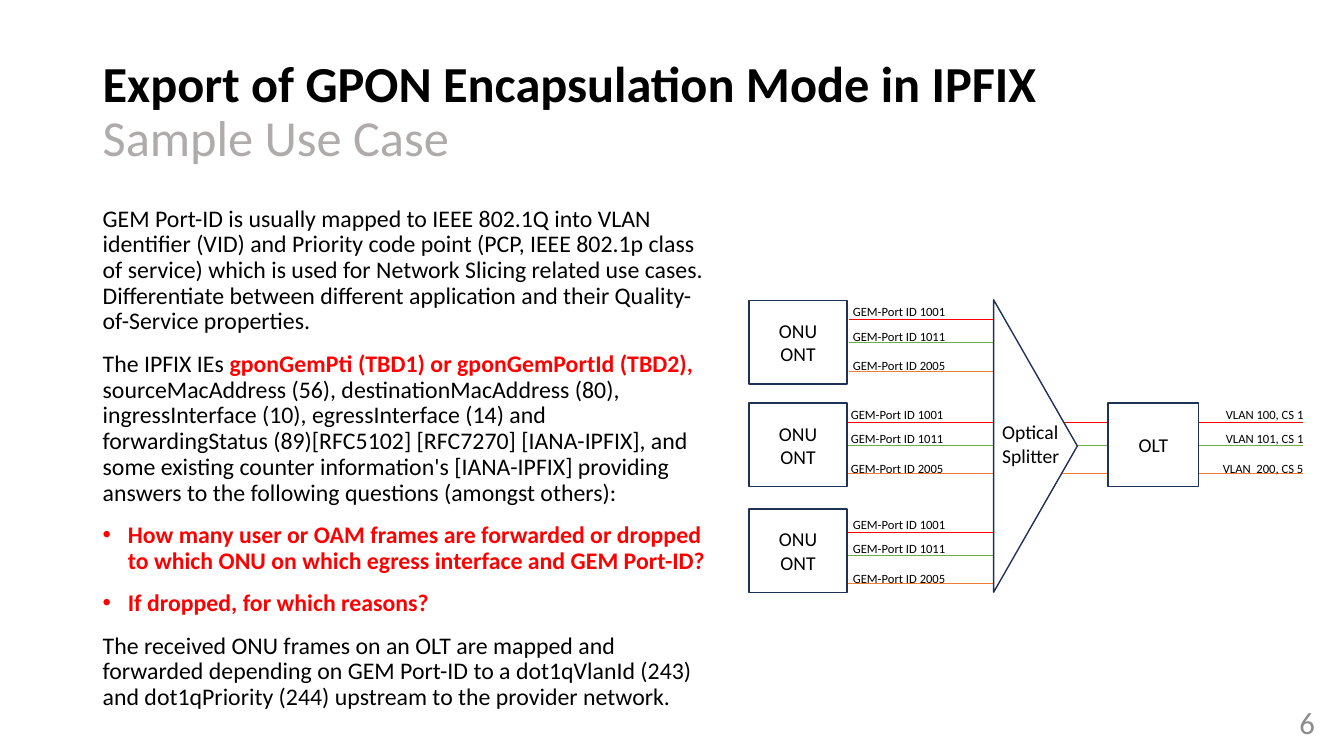
from dataclasses import dataclass

from lxml import etree
from pptx import Presentation
from pptx.dml.color import RGBColor
from pptx.enum.shapes import MSO_CONNECTOR, MSO_SHAPE
from pptx.enum.text import MSO_ANCHOR, MSO_AUTO_SIZE, PP_ALIGN
from pptx.oxml.ns import qn
from pptx.util import Inches, Pt

RECT, TRIANGLE = MSO_SHAPE.RECTANGLE, MSO_SHAPE.ISOSCELES_TRIANGLE
STRAIGHT = MSO_CONNECTOR.STRAIGHT
TOP, MIDDLE = MSO_ANCHOR.TOP, MSO_ANCHOR.MIDDLE
LEFT, CENTER, RIGHT = PP_ALIGN.LEFT, PP_ALIGN.CENTER, PP_ALIGN.RIGHT
GROW, FIXED = MSO_AUTO_SIZE.SHAPE_TO_FIT_TEXT, MSO_AUTO_SIZE.NONE


@dataclass(frozen=True)
class Theme:
    font: str = "Calibri"
    black: str = "000000"
    white: str = "FFFFFF"
    subtitle: str = "AFABAB"
    number: str = "8C8C8C"
    red: str = "FF0000"
    green: str = "70AD47"
    orange: str = "ED7D31"
    outline: str = "1E3256"
    title_size: float = 36
    body_size: float = 17
    number_size: float = 22
    node_size: float = 14
    label_size: float = 9


T = Theme()


@dataclass(frozen=True)
class Run:
    text: str
    color: str = T.black
    bold: bool = False


@dataclass(frozen=True)
class Para:
    runs: tuple[Run, ...]
    bullet: bool = False


@dataclass(frozen=True)
class Signal:
    label: str
    vlan: str
    color: str
    label_dy: float
    line_dy: float


@dataclass(frozen=True)
class Unit:
    box_top: float
    signal_top: float
    label_left: float
    line_start: float
    line_end: float


BODY = (
    Para((Run("GEM Port-ID is usually mapped to IEEE 802.1Q into VLAN identifier (VID) and "
              "Priority code point (PCP, IEEE 802.1p class of service) which is used for "
              "Network Slicing related use cases. Differentiate between different "
              "application and their Quality-of-Service properties."),)),
    Para((Run("The IPFIX IEs "),
          Run("gponGemPti (TBD1) or gponGemPortId (TBD2), ", T.red, True),
          Run("sourceMacAddress (56), destinationMacAddress (80), ingressInterface (10), "
              "egressInterface (14) and forwardingStatus (89)[RFC5102] [RFC7270] "
              "[IANA-IPFIX], and some existing counter information's [IANA-IPFIX] "
              "providing answers to the following questions (amongst others):"))),
    Para((Run("How many user or OAM frames are forwarded or dropped to which ONU on which "
              "egress interface and GEM Port-ID?", T.red, True),), bullet=True),
    Para((Run("If dropped, for which reasons?", T.red, True),), bullet=True),
    Para((Run("The received ONU frames on an OLT are mapped and forwarded depending on GEM "
              "Port-ID to a dot1qVlanId (243) and dot1qPriority (244) upstream to the "
              "provider network."),)),
)
SIGNALS = (
    Signal("GEM-Port ID 1001", "VLAN 100, CS 1", T.red, -0.01, 0.19),
    Signal("GEM-Port ID 1011", "VLAN 101, CS 1", T.green, 0.23, 0.42),
    Signal("GEM-Port ID 2005", "VLAN  200, CS 5", T.orange, 0.52, 0.7),
)
UNITS = (
    Unit(2.98, 2.98, 8.36, 8.42, 9.85),
    Unit(4, 4, 8.34, 8.4, 12.92),
    Unit(5.05, 5.09, 8.36, 8.4, 9.85),
)
VLAN_RIGHT = 13.03


def add_run(p, run: Run, size: float) -> None:
    """Add a run, turning newlines into line breaks."""
    for i, line in enumerate(run.text.split("\n")):
        if i:
            p.add_line_break()
        r = p.add_run()
        r.text = line
        fmt = {"name": T.font, "size": Pt(size), "bold": run.bold}
        for name, value in fmt.items():
            setattr(r.font, name, value)
        r.font.color.rgb = RGBColor.from_string(run.color)


def add_bullet(p) -> None:
    pPr = p._p.get_or_add_pPr()
    pPr.set("marL", str(Inches(0.25)))
    pPr.set("indent", str(Inches(-0.25)))
    etree.SubElement(pPr, qn("a:buFont")).set("typeface", "Arial")
    etree.SubElement(pPr, qn("a:buChar")).set("char", "•")


def fill_text(s, paras: tuple[Para, ...], size: float, frame: dict, para: dict) -> None:
    """Write paragraphs into a shape with the given frame and paragraph formats."""
    tf = s.text_frame
    for name, value in frame.items():
        setattr(tf, name, value)
    for i, item in enumerate(paras):
        p = tf.add_paragraph() if i else tf.paragraphs[0]
        for name, value in para.items():
            setattr(p, name, value)
        if item.bullet:
            add_bullet(p)
        for run in item.runs:
            add_run(p, run, size)


def add_text(shapes, box: tuple[float, ...], paras: tuple[Para, ...], size: float,
             anchor=TOP, **para) -> None:
    s = shapes.add_textbox(*map(Inches, box))
    frame = {"word_wrap": True, "auto_size": FIXED, "vertical_anchor": anchor}
    fill_text(s, paras, size, frame, para)


def add_label(shapes, box: tuple[float, ...], text: str, size: float) -> None:
    s = shapes.add_textbox(*map(Inches, box))
    frame = {"word_wrap": False, "auto_size": GROW}
    fill_text(s, (Para((Run(text),)),), size, frame, {"alignment": LEFT})


def add_node(shapes, kind, box: tuple[float, ...], text: str = "", rotation: float = 0) -> None:
    s = shapes.add_shape(kind, *map(Inches, box))
    s.shadow.inherit = False
    s.rotation = rotation
    s.fill.solid()
    s.fill.fore_color.rgb = RGBColor.from_string(T.white)
    s.line.color.rgb = RGBColor.from_string(T.outline)
    s.line.width = Pt(1)
    if text:
        fill_text(s, (Para((Run(text),)),), T.node_size,
                  {"word_wrap": True, "vertical_anchor": MIDDLE}, {"alignment": CENTER})


def add_line(shapes, x1: float, x2: float, y: float, color: str) -> None:
    s = shapes.add_connector(STRAIGHT, Inches(x1), Inches(y), Inches(x2), Inches(y))
    s.line.color.rgb = RGBColor.from_string(color)
    s.line.width = Pt(0.5)
    etree.SubElement(s._element.spPr, qn("a:effectLst"))


def main() -> None:
    prs = Presentation()
    prs.slide_width, prs.slide_height = Inches(13.33), Inches(7.5)
    shapes = prs.slides.add_slide(prs.slide_layouts[6]).shapes

    # Title, body and slide number
    title = Para((Run("Export of GPON Encapsulation Mode in IPFIX\n", bold=True),
                  Run("Sample Use Case", T.subtitle)))
    add_text(shapes, (0.92, 0.4, 11.5, 1.45), (title,), T.title_size, MIDDLE, line_spacing=0.9)
    add_text(shapes, (0.92, 2, 6.24, 5.23), BODY, T.body_size,
             line_spacing=0.9, space_before=Pt(12))
    add_text(shapes, (12.69, 6.96, 0.45, 0.4), (Para((Run("6", T.number),)),),
             T.number_size, MIDDLE, alignment=RIGHT)

    # Subscriber units with their GEM ports
    for unit in UNITS:
        for sig in SIGNALS:
            add_line(shapes, unit.line_start, unit.line_end,
                     unit.signal_top + sig.line_dy, sig.color)
            add_label(shapes, (unit.label_left, unit.signal_top + sig.label_dy, 1.12, 0.25),
                      sig.label, T.label_size)
        add_node(shapes, RECT, (7.43, unit.box_top, 0.97, 0.83), "ONU\nONT")

    # Upstream VLANs
    for sig, width in zip(SIGNALS, (0.97, 0.97, 1)):
        add_label(shapes, (VLAN_RIGHT - width, 4 + sig.label_dy, width, 0.25),
                  sig.vlan, T.label_size)

    # Splitter and line terminal
    add_node(shapes, RECT, (10.99, 4, 0.9, 0.83), "OLT")
    add_node(shapes, TRIANGLE, (8.82, 4.01, 2.9, 0.83), rotation=90)
    add_label(shapes, (9.84, 4.12, 0.78, 0.57), "Optical\nSplitter", T.node_size)

    prs.save("out.pptx")


if __name__ == "__main__":
    main()
